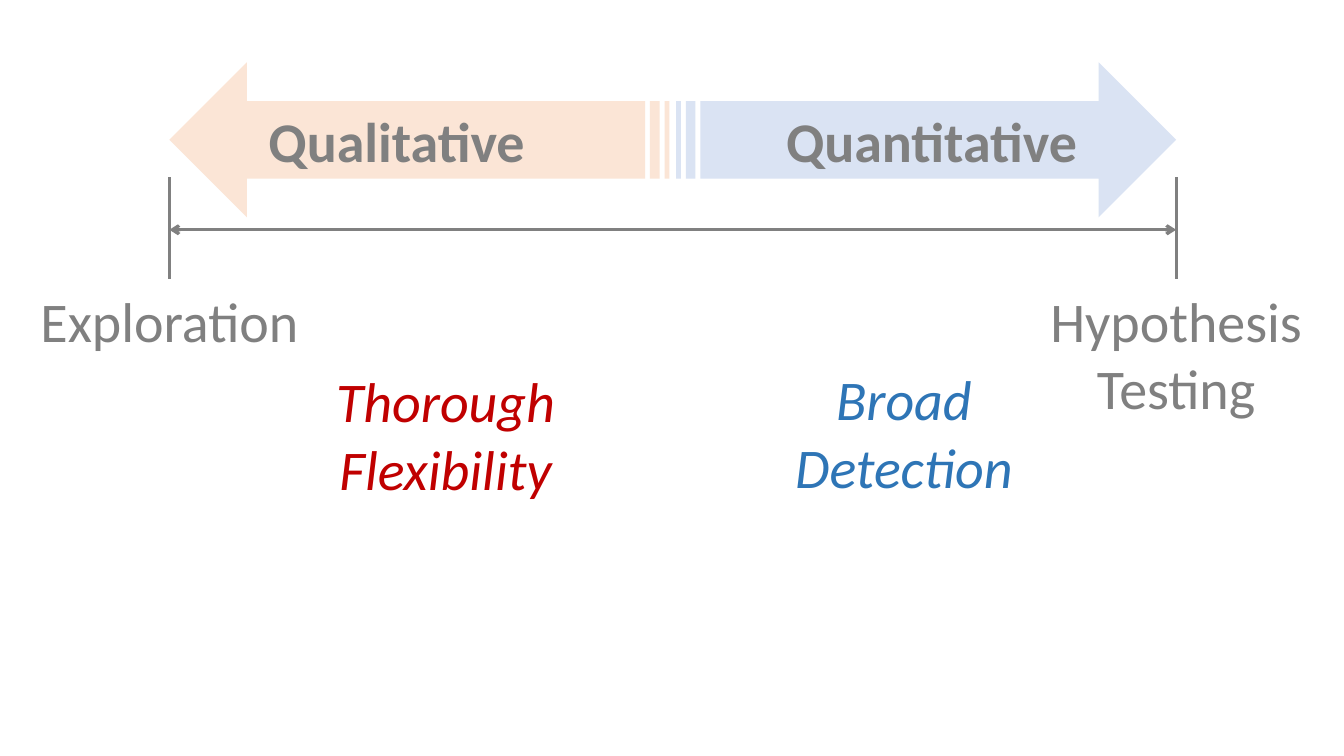
from pptx import Presentation
from pptx.dml.color import RGBColor
from pptx.enum.shapes import MSO_CONNECTOR, MSO_SHAPE
from pptx.enum.text import MSO_ANCHOR, MSO_AUTO_SIZE, PP_ALIGN
from pptx.oxml.ns import qn
from pptx.util import Cm, Pt
from lxml.etree import SubElement

GRAY = RGBColor(0x80, 0x80, 0x80)
PEACH = RGBColor(0xFB, 0xE5, 0xD6)
PALE_BLUE = RGBColor(0xDA, 0xE3, 0xF3)
RED = RGBColor(0xC0, 0x00, 0x00)
BLUE = RGBColor(0x2E, 0x75, 0xB6)

# Horizontal ends of the research spectrum, and its arrows, in cm
SPECTRUM_LEFT, SPECTRUM_RIGHT = 4.27, 29.64
ARROW_TOP, ARROW_WIDTH, ARROW_HEIGHT = 1.57, 12.6, 3.91
TICK_TOP, TICK_BOTTOM, SPAN_Y = 4.47, 7.04, 5.79
LABEL_WIDTH = 7.72


def write_lines(frame, lines, color, align=PP_ALIGN.CENTER, **emphasis):
    """Write each line as a paragraph of its own."""
    font_format = {"name": "Calibri", "size": Pt(40), **emphasis}
    for index, line in enumerate(lines):
        paragraph = frame.add_paragraph() if index else frame.paragraphs[0]
        paragraph.alignment = align
        run = paragraph.add_run()
        run.text = line
        run.font.color.rgb = color
        for attribute, value in font_format.items():
            setattr(run.font, attribute, value)


def add_label(slide, left, top, width, lines, color, **emphasis):
    height = 0.25 + 1.71 * len(lines)
    label = slide.shapes.add_textbox(Cm(left), Cm(top), Cm(width), Cm(height))
    frame_format = {"word_wrap": True, "auto_size": MSO_AUTO_SIZE.SHAPE_TO_FIT_TEXT}
    for attribute, value in frame_format.items():
        setattr(label.text_frame, attribute, value)
    write_lines(label.text_frame, lines, color, **emphasis)


def add_method_arrow(slide, left, method, fill, align, indent, flipped=False):
    arrow = slide.shapes.add_shape(
        MSO_SHAPE.STRIPED_RIGHT_ARROW,
        Cm(left), Cm(ARROW_TOP), Cm(ARROW_WIDTH), Cm(ARROW_HEIGHT))
    arrow.shadow.inherit = False
    arrow.fill.solid()
    arrow.fill.fore_color.rgb = fill
    arrow.line.fill.background()
    if flipped:
        arrow._element.spPr.find(qn("a:xfrm")).set("flipH", "1")
    frame_format = {"word_wrap": True, "vertical_anchor": MSO_ANCHOR.MIDDLE,
                    "margin_left": Cm(indent)}
    for attribute, value in frame_format.items():
        setattr(arrow.text_frame, attribute, value)
    write_lines(arrow.text_frame, [method], GRAY, align, bold=True)


def add_rule(slide, x1, y1, x2, y2, arrowheads=False):
    rule = slide.shapes.add_connector(
        MSO_CONNECTOR.STRAIGHT, Cm(x1), Cm(y1), Cm(x2), Cm(y2))
    rule.line.color.rgb = GRAY
    rule.line.width = Pt(2.25)
    if arrowheads:
        outline = rule.line._get_or_add_ln()
        for end in ("a:headEnd", "a:tailEnd"):
            SubElement(outline, qn(end)).set("type", "arrow")
    SubElement(rule._element.spPr, qn("a:effectLst"))


def main():
    deck = Presentation()
    deck.slide_width, deck.slide_height = Cm(33.87), Cm(19.05)
    slide = deck.slides.add_slide(deck.slide_layouts[6])

    # Dimension line between the two ends
    for end_x in (SPECTRUM_LEFT, SPECTRUM_RIGHT):
        add_rule(slide, end_x, TICK_TOP, end_x, TICK_BOTTOM)
    add_rule(slide, SPECTRUM_LEFT, SPAN_Y, SPECTRUM_RIGHT, SPAN_Y, arrowheads=True)

    # Purpose at each end, centred on its tick
    for end_x, width, purpose in (
            (SPECTRUM_LEFT, LABEL_WIDTH, ["Exploration"]),
            (SPECTRUM_RIGHT, 7.14, ["Hypothesis", "Testing"])):
        add_label(slide, end_x - width / 2, 7.09, width, purpose, GRAY)

    # Opposing method arrows
    add_method_arrow(slide, SPECTRUM_LEFT, "Qualitative", PEACH,
                     PP_ALIGN.LEFT, 1.52, flipped=True)
    add_method_arrow(slide, SPECTRUM_RIGHT - ARROW_WIDTH, "Quantitative",
                     PALE_BLUE, PP_ALIGN.CENTER, 0.89)

    # Strength of each method
    for left, top, strength, color in (
            (7.37, 9.12, ["Thorough", "Flexibility"], RED),
            (18.92, 9.07, ["Broad", "Detection"], BLUE)):
        add_label(slide, left, top, LABEL_WIDTH, strength, color, italic=True)

    deck.save("out.pptx")


main()
